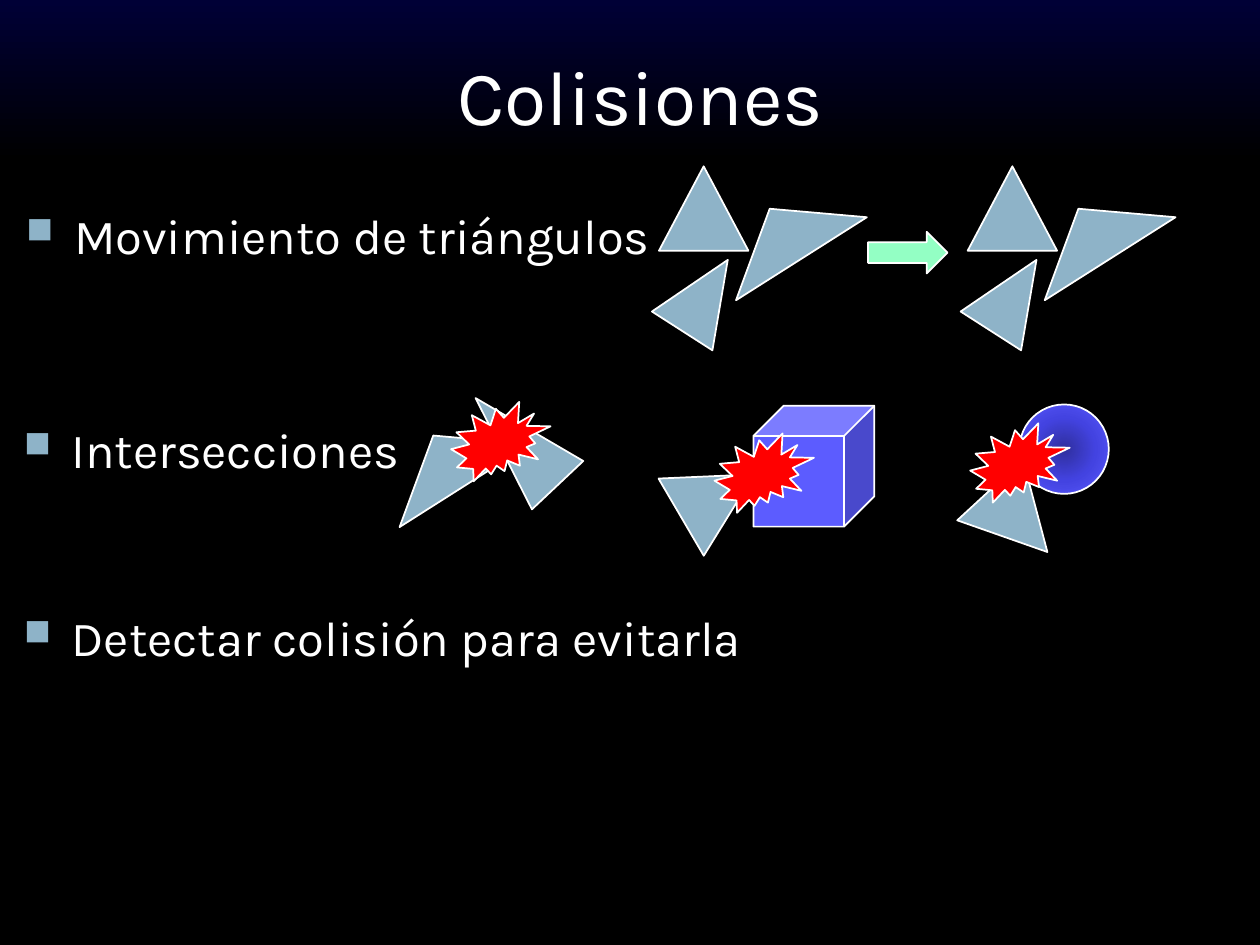
"""Build the slide "Colisiones" on triangle motion and intersections."""
from lxml.etree import SubElement
from pptx import Presentation
from pptx.dml.color import RGBColor
from pptx.enum.shapes import MSO_SHAPE as Preset
from pptx.enum.text import MSO_ANCHOR as Anchor, PP_ALIGN as Align
from pptx.oxml.ns import qn
from pptx.util import Inches, Pt

COLORS = {
    "white": "FFFFFF", "steel": "8EB3C8", "mint": "93FFC4",
    "red": "FF0000", "violet": "5C5CFF",
}
FONT = "Karla"
BACKGROUND_STOPS = [(0, "000036"), (17, "000000"), (100, "000000")]
SPHERE_STOPS = [(0, "2F2F9E"), (50, "4343E1"), (100, "5C5CFF")]

TITLE = ("Colisiones", (0.75, 0.17, 8.67, 1.17))
BULLETS = [
    ("Movimiento de triángulos", 0.11, 1.58),
    ("Intersecciones", 0.09, 3.28),
    ("Detectar colisión para evitarla", 0.09, 4.77),
]
BULLET_SIZE = (6.15, 0.67)
BULLET_INDENT = 0.38

EQUILATERAL = (0.71, 0.67)
LONG = (1.23, 0.47)
BURST = (0.79, 0.63)
TRIO = [
    (5.23, 1.32, EQUILATERAL, 0),
    (5.62, 1.62, LONG, 327.6),
    (5.31, 2.01, (0.57, 0.67), 32.7),
]
TRIO_SHIFTS = [0, 2.45]
ARROW = (6.89, 1.84, (0.63, 0.33))
COLLISIONS = [
    [
        (Preset.ISOSCELES_TRIANGLE, "steel", 2.95, 3.42, LONG, 327.6),
        (Preset.ISOSCELES_TRIANGLE, "steel", 3.82, 3.03, (0.56, 0.95), 316.7),
        (Preset.EXPLOSION2, "red", 3.58, 3.19, BURST, 0),
    ],
    [
        (Preset.ISOSCELES_TRIANGLE, "steel", 5.34, 3.6, EQUILATERAL, 59.6),
        (Preset.CUBE, "violet", 5.98, 3.22, (0.96, 0.96), 0),
        (Preset.EXPLOSION2, "red", 5.67, 3.44, BURST, 0),
    ],
    [
        (Preset.ISOSCELES_TRIANGLE, "steel", 7.73, 3.8, EQUILATERAL, 137.3),
        (Preset.OVAL, "violet", 8.09, 3.21, (0.71, 0.71), 0),
        (Preset.EXPLOSION2, "red", 7.7, 3.36, BURST, 0),
    ],
]


def rgb(name):
    return RGBColor.from_string(COLORS[name])


def set_gradient(fill, element, stops, radial=False):
    fill.gradient()
    gradient = element.find(".//" + qn("a:gradFill"))
    for child in list(gradient):
        gradient.remove(child)
    stop_list = SubElement(gradient, qn("a:gsLst"))
    for percent, color in stops:
        stop = SubElement(stop_list, qn("a:gs"), pos=str(percent * 1000))
        SubElement(stop, qn("a:srgbClr"), val=color)
    if radial:
        route = SubElement(gradient, qn("a:path"), {"path": "circle"})
        SubElement(route, qn("a:fillToRect"), dict.fromkeys("ltrb", "50000"))
    else:
        SubElement(gradient, qn("a:lin"), ang="5400000", scaled="0")


def add_preset(shapes, preset, color, left, top, size, rotation=0):
    shape = shapes.add_shape(preset, *map(Inches, (left, top, *size)))
    shape.rotation = rotation
    shape.shadow.inherit = False
    shape.fill.solid()
    shape.fill.fore_color.rgb = rgb(color)
    shape.line.color.rgb = rgb("white")
    shape.line.width = Pt(1)
    if preset == Preset.OVAL:
        set_gradient(shape.fill, shape._element, SPHERE_STOPS, radial=True)


def add_group(slide, parts):
    group = slide.shapes.add_group_shape()
    for part in parts:
        add_preset(group.shapes, *part)


def set_bullet(para):
    properties = para._p.get_or_add_pPr()
    indent = Inches(BULLET_INDENT)
    properties.set("marL", str(indent))
    properties.set("indent", str(-indent))
    color = SubElement(properties, qn("a:buClr"))
    SubElement(color, qn("a:srgbClr"), val=COLORS["steel"])
    SubElement(properties, qn("a:buSzPct"), val="75000")
    SubElement(properties, qn("a:buChar"), char="■")


def add_text(slide, text, place, size, bullet=False):
    box = slide.shapes.add_textbox(*map(Inches, place))
    frame = box.text_frame
    frame.word_wrap = True
    frame.vertical_anchor = Anchor.TOP if bullet else Anchor.MIDDLE
    para = frame.paragraphs[0]
    para.text = text
    para.alignment = Align.LEFT if bullet else Align.CENTER
    if bullet:
        set_bullet(para)
    para.font.name = FONT
    para.font.size = Pt(size)
    para.font.color.rgb = rgb("white")


def main():
    deck = Presentation()
    deck.slide_width, deck.slide_height = Inches(10), Inches(7.5)
    slide = deck.slides.add_slide(deck.slide_layouts[6])
    set_gradient(slide.background.fill, slide._element, BACKGROUND_STOPS)

    add_text(slide, *TITLE, 44)
    for text, left, top in BULLETS:
        add_text(slide, text, (left, top, *BULLET_SIZE), 28, bullet=True)

    for shift in TRIO_SHIFTS:
        add_group(slide, [
            (Preset.ISOSCELES_TRIANGLE, "steel", left + shift, top, size, rotation)
            for left, top, size, rotation in TRIO
        ])
    add_preset(slide.shapes, Preset.RIGHT_ARROW, "mint", *ARROW)
    for parts in COLLISIONS:
        add_group(slide, parts)

    deck.save("out.pptx")


if __name__ == "__main__":
    main()
